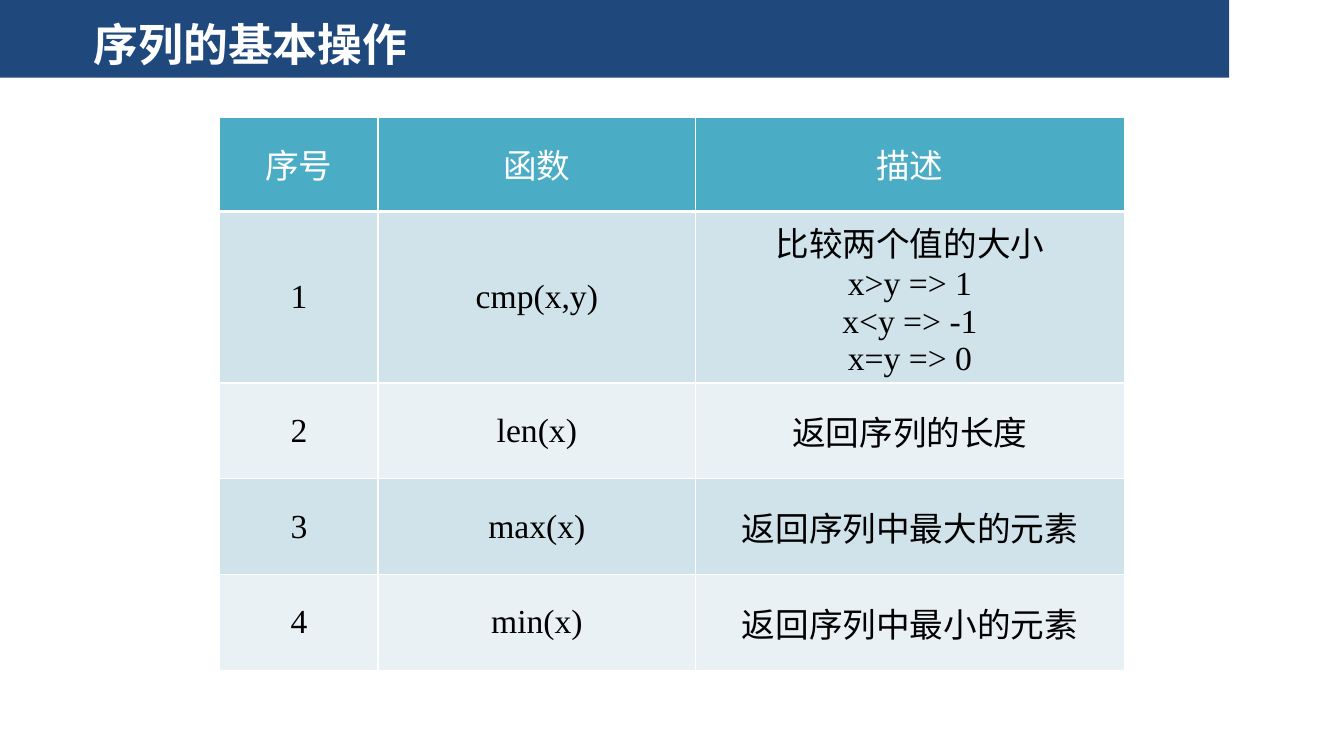
from dataclasses import dataclass

import pptx
import pptx.dml.color
import pptx.enum.shapes
import pptx.enum.text
import pptx.oxml.ns
import pptx.util
from lxml import etree


@dataclass(frozen=True)
class Theme:
    banner: str = "1F497D"
    header: str = "4BACC6"
    bands: tuple = ("D0E3EA", "E9F1F5")
    light: str = "FFFFFF"
    dark: str = "000000"
    title_size: int = 32
    table_size: int = 24
    title_font: str = "Noto Sans CJK SC"
    table_font: str = "Times New Roman"
    chinese_font: str = "Noto Sans CJK SC"
    rule: int = 1
    header_rule: int = 3


class SlideBuilder:
    scale = 9144

    def __init__(self, theme, width, height):
        self.theme = theme
        self.deck = pptx.Presentation()
        self.deck.slide_width = self.px(width)
        self.deck.slide_height = self.px(height)
        self.slide = self.deck.slides.add_slide(self.deck.slide_layouts[6])

    def px(self, length):
        return pptx.util.Emu(length * self.scale)

    def color(self, value):
        return pptx.dml.color.RGBColor.from_string(value)

    def rectangle(self, left, top, width, height, fill):
        banner = self.slide.shapes.add_shape(
            pptx.enum.shapes.MSO_SHAPE.RECTANGLE,
            *map(self.px, (left, top, width, height)))
        banner.shadow.inherit = False
        banner.fill.solid()
        banner.fill.fore_color.rgb = self.color(fill)
        banner.line.fill.background()

    def style_text(self, frame, text, color, align, **formats):
        frame.text = text
        for paragraph in frame.paragraphs:
            paragraph.alignment = align
            for run in paragraph.runs:
                for name, value in formats.items():
                    setattr(run.font, name, value)
                run.font.color.rgb = self.color(color)
                chinese = etree.SubElement(
                    run.font._element, pptx.oxml.ns.qn("a:ea"))
                chinese.set("typeface", self.theme.chinese_font)

    def title(self, left, top, width, height, text):
        heading = self.slide.shapes.add_textbox(
            *map(self.px, (left, top, width, height))).text_frame
        heading.word_wrap = True
        heading.vertical_anchor = pptx.enum.text.MSO_ANCHOR.MIDDLE
        self.style_text(heading, text, self.theme.light,
                        pptx.enum.text.PP_ALIGN.LEFT,
                        name=self.theme.title_font, bold=True,
                        size=pptx.util.Pt(self.theme.title_size))

    def border(self, cell, side, points):
        qn = pptx.oxml.ns.qn
        properties = cell._tc.get_or_add_tcPr()
        edge = etree.SubElement(properties, qn(f"a:ln{side}"),
                                w=str(pptx.util.Pt(points)))
        fill = etree.SubElement(edge, qn("a:solidFill"))
        etree.SubElement(fill, qn("a:srgbClr"), val=self.theme.light)

    def table(self, left, top, widths, heights, rows):
        theme = self.theme
        grid = self.slide.shapes.add_table(
            len(rows), len(widths),
            *map(self.px, (left, top, sum(widths), sum(heights)))).table
        grid.horz_banding = False
        for column, width in zip(grid.columns, widths):
            column.width = self.px(width)
        for row, height in zip(grid.rows, heights):
            row.height = self.px(height)
        for index, texts in enumerate(rows):
            is_header = index == 0
            fill = theme.header if is_header else theme.bands[(index - 1) % 2]
            for column, text in enumerate(texts):
                cell = grid.cell(index, column)
                for side in "LRTB":
                    thick = is_header and side == "B"
                    self.border(cell, side,
                                theme.header_rule if thick else theme.rule)
                cell.fill.solid()
                cell.fill.fore_color.rgb = self.color(fill)
                cell.vertical_anchor = pptx.enum.text.MSO_ANCHOR.MIDDLE
                self.style_text(cell.text_frame, text,
                                theme.light if is_header else theme.dark,
                                pptx.enum.text.PP_ALIGN.CENTER,
                                name=theme.table_font, bold=False,
                                size=pptx.util.Pt(theme.table_size))

    def save(self):
        self.deck.save("out.pptx")


def main():
    theme = Theme()
    builder = SlideBuilder(theme, 1333, 750)
    builder.rectangle(0, 0, 1219, 77, theme.banner)
    builder.title(83, 8, 1135, 70, "序列的基本操作")
    functions = [
        ("序号", "函数", "描述"),
        ("1", "cmp(x,y)",
         "比较两个值的大小\nx>y => 1\nx<y => -1\nx=y => 0"),
        ("2", "len(x)", "返回序列的长度"),
        ("3", "max(x)", "返回序列中最大的元素"),
        ("4", "min(x)", "返回序列中最小的元素"),
    ]
    builder.table(218, 116, (157, 315, 425), (94, 169, 95, 95, 95), functions)
    builder.save()


if __name__ == "__main__":
    main()
